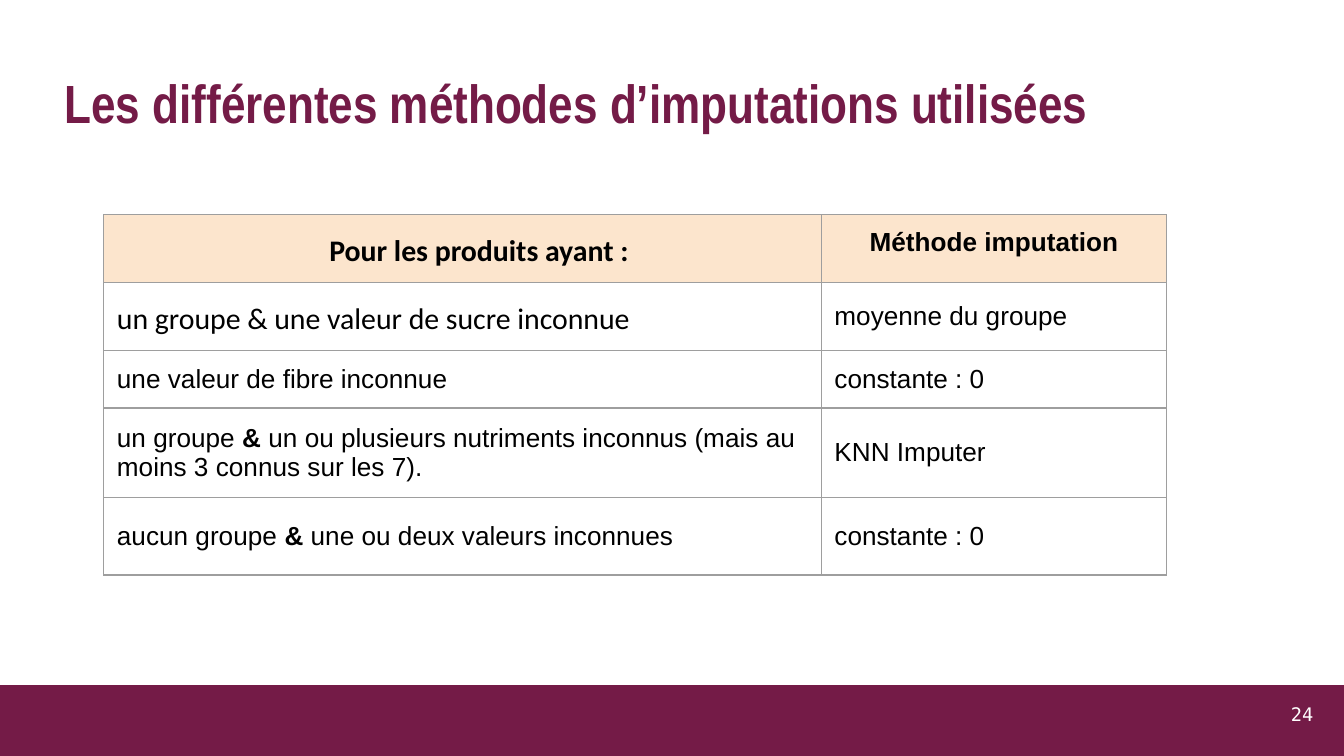
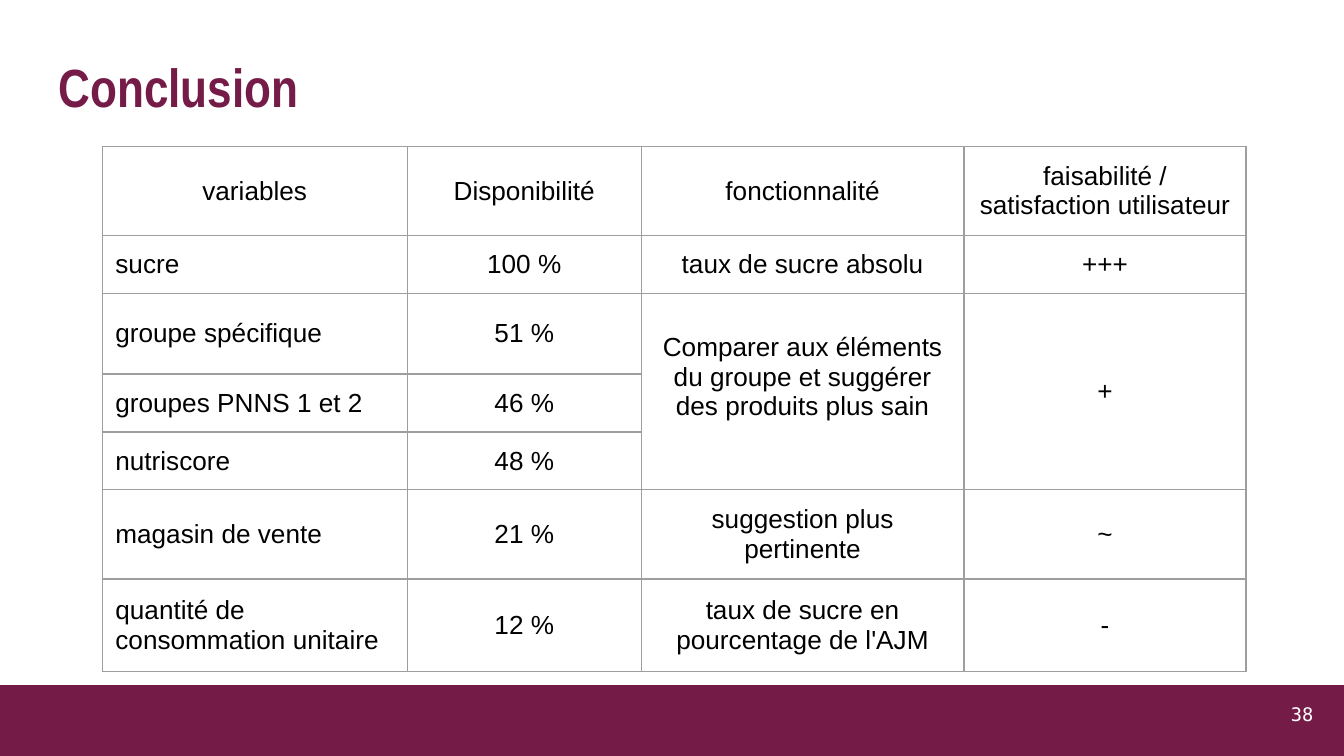
import pptx
import pptx.dml.color
import pptx.enum.shapes
import pptx.enum.text
import pptx.oxml
import pptx.oxml.ns
import pptx.util

Cm, Pt = pptx.util.Cm, pptx.util.Pt
Align = pptx.enum.text.PP_ALIGN
Anchor = pptx.enum.text.MSO_ANCHOR

PLUM = pptx.dml.color.RGBColor(0x74, 0x1B, 0x47)
PEACH = pptx.dml.color.RGBColor(0xFC, 0xE5, 0xCD)
GREY = pptx.dml.color.RGBColor(0x9E, 0x9E, 0x9E)
BLACK = pptx.dml.color.RGBColor(0, 0, 0)
WHITE = pptx.dml.color.RGBColor(0xFF, 0xFF, 0xFF)

WIDTH, HEIGHT = Cm(25.4), Cm(14.29)
BAND_TOP = Cm(12.95)
INSET = Cm(0.25)

METHODS = [
    ["Pour les produits ayant :", "Méthode imputation"],
    ["un groupe & une valeur de sucre inconnue", "moyenne du groupe"],
    ["une valeur de fibre inconnue", "constante : 0"],
    ["un groupe *& *un ou plusieurs nutriments inconnus "
     "(mais au moins 3 connus sur les 7).", "KNN Imputer"],
    ["aucun groupe *& *une ou deux valeurs inconnues", "constante : 0"],
]
RESULTS = [
    ["variables", "Disponibilité", "fonctionnalité",
     "faisabilité / satisfaction utilisateur"],
    ["sucre", "100 %", "taux de sucre absolu", "+++"],
    ["groupe spécifique", "51 %",
     "Comparer aux éléments du groupe et suggérer des produits plus sain", "+"],
    ["groupes PNNS 1 et 2", "46 %", "", ""],
    ["nutriscore", "48 %", "", ""],
    ["magasin de vente", "21 %", "suggestion plus pertinente", "~"],
    ["quantité de consommation unitaire", "12 %",
     "taux de sucre en pourcentage de l'AJM", "-"],
]


class Deck:
    def __init__(self):
        self.prs = pptx.Presentation()
        self.prs.slide_width, self.prs.slide_height = WIDTH, HEIGHT
        self.slide = None

    def start(self, title, left, top, width, number):
        """Add a slide with its title, bottom band and page number."""
        self.slide = self.prs.slides.add_slide(self.prs.slide_layouts[6])
        self.band()
        self.text(title, (left, top, width, 1.85), Anchor.BOTTOM,
                  Align.LEFT, "Arial Narrow", 28.8, PLUM, True)
        self.text(str(number), (23.55, 12.95, 1.52, 1.09), Anchor.MIDDLE,
                  Align.RIGHT, "DejaVu Sans Mono", 10, WHITE)

    def band(self):
        band = self.slide.shapes.add_shape(
            pptx.enum.shapes.MSO_SHAPE.RECTANGLE,
            0, BAND_TOP, WIDTH, HEIGHT - BAND_TOP)
        band.shadow.inherit = False
        band.fill.solid()
        band.fill.fore_color.rgb = PLUM
        band.line.fill.background()

    def text(self, words, place, anchor, align, face, size, color, bold=False):
        box = self.slide.shapes.add_textbox(*map(Cm, place))
        frame = box.text_frame
        frame.word_wrap = True
        frame.vertical_anchor = anchor
        frame.margin_left = frame.margin_right = INSET
        frame.margin_top = frame.margin_bottom = INSET
        self.put(frame.paragraphs[0], words, align)
        self.font(frame.paragraphs[0], face, size, color, bold)

    def put(self, para, words, align):
        """Fill a paragraph; parts between asterisks become bold."""
        para.alignment = align
        for i, part in enumerate(words.split("*")):
            if part:
                run = para.add_run()
                run.text = part
                if i % 2:
                    run.font.bold = True

    def font(self, para, face, size, color=BLACK, bold=False):
        font = para.font
        font.name, font.size, font.bold = face, Pt(size), bold
        font.color.rgb = color

    def table(self, data, left, top, widths, heights):
        table = self.slide.shapes.add_table(
            len(data), len(widths), Cm(left), Cm(top),
            Cm(sum(widths)), Cm(sum(heights))).table
        table.first_row = table.horz_banding = False
        for col, width in zip(table.columns, widths):
            col.width = Cm(width)
        for row, height in zip(table.rows, heights):
            row.height = Cm(height)
        for r, line in enumerate(data):
            for c, words in enumerate(line):
                self.cell(table.cell(r, c), words)
        return table

    def cell(self, cell, words):
        cell.margin_left = cell.margin_right = INSET
        cell.margin_top = cell.margin_bottom = INSET
        cell.vertical_anchor = Anchor.MIDDLE
        self.edge(cell)
        cell.fill.background()
        para = cell.text_frame.paragraphs[0]
        self.put(para, words, Align.LEFT)
        self.font(para, "Arial", 14)

    def edge(self, cell):
        """Draw the four borders of a cell."""
        space = pptx.oxml.ns.nsdecls("a")
        props = cell._tc.get_or_add_tcPr()
        for side in "LRTB":
            props.append(pptx.oxml.parse_xml(
                f'<a:ln{side} {space} w="{Pt(0.75)}"><a:solidFill>'
                f'<a:srgbClr val="{GREY}"/></a:solidFill></a:ln{side}>'))


def methods(deck):
    deck.start("Les différentes méthodes d’imputations utilisées",
               0.97, 0.94, 22.89, 24)
    table = deck.table(METHODS, 1.96, 4.06, [13.56, 6.53],
                       [1.04, 1.09, 0.97, 1.47, 1.47])
    for r in range(2):
        para = table.cell(r, 0).text_frame.paragraphs[0]
        para.line_spacing = 1.15
        para.space_after = Pt(16)
        deck.font(para, "Calibri", 16)
    for cell in table.rows[0].cells:
        cell.vertical_anchor = Anchor.TOP
        cell.fill.solid()
        cell.fill.fore_color.rgb = PEACH
        para = cell.text_frame.paragraphs[0]
        para.alignment = Align.CENTER
        para.font.bold = True
    props = table.cell(0, 0).text_frame.paragraphs[0]._p.get_or_add_pPr()
    props.set("marL", str(Cm(1.27)))
    props.set("indent", str(-Cm(0.64)))


def results(deck):
    deck.start("Conclusion", 0.86, 0.64, 20.57, 38)
    table = deck.table(RESULTS, 1.93, 2.77, [5.77, 4.42, 6.1, 5.33],
                       [1.02, 1.07, 1.52, 1.02, 1.04, 1.57, 1.75])
    for r in range(len(RESULTS)):
        for c in range(4):
            if r == 0 or c > 0:
                para = table.cell(r, c).text_frame.paragraphs[0]
                para.alignment = Align.CENTER
    for c in (2, 3):
        table.cell(2, c).merge(table.cell(4, c))
    table.cell(2, 2).margin_bottom = Cm(0.8)


def main():
    deck = Deck()
    methods(deck)
    results(deck)
    deck.prs.save("out.pptx")


if __name__ == "__main__":
    main()
